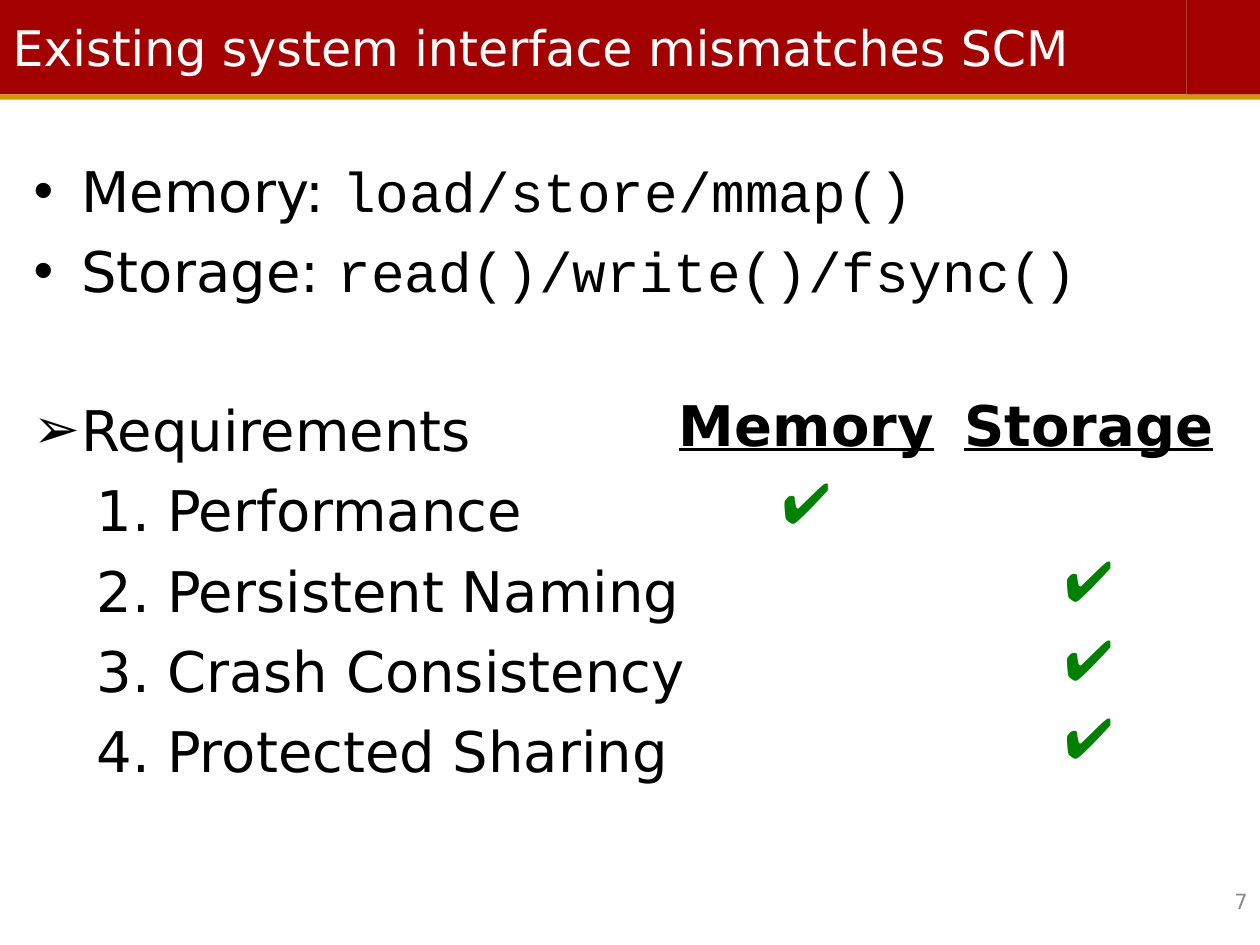
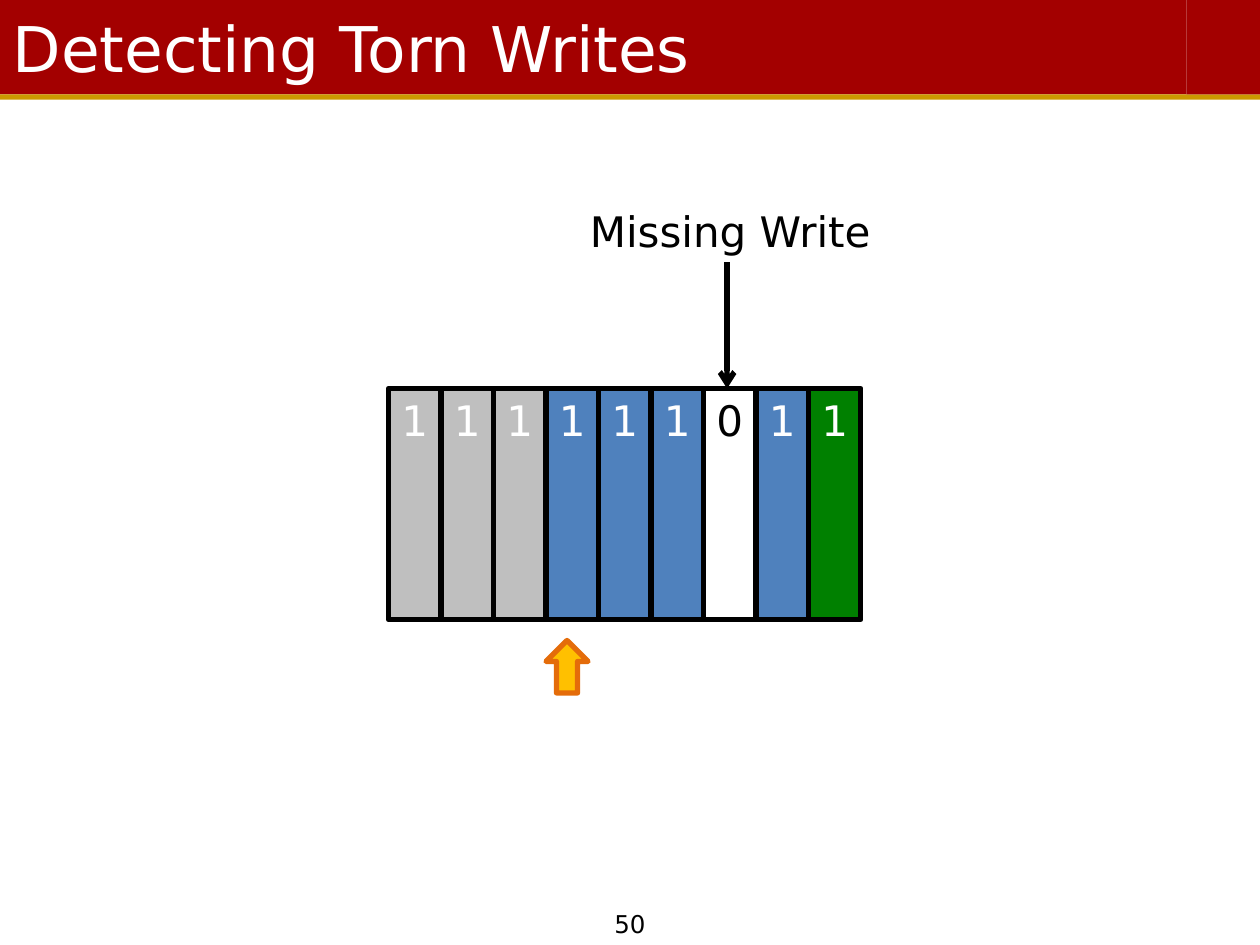
import pptx
import pptx.dml.color
import pptx.enum.shapes
import pptx.enum.text
import pptx.oxml
import pptx.oxml.ns
import pptx.util

MSO_SHAPE = pptx.enum.shapes.MSO_SHAPE
ALIGN = pptx.enum.text.PP_ALIGN
ANCHOR = pptx.enum.text.MSO_ANCHOR

COLORS = {
    "band": "A30000", "rule": "CC9900", "ink": "000000", "paper": "FFFFFF",
    "page": "8C8C8C", "old": "BFBFBF", "written": "4F81BD", "green": "008000",
    "pointer": "FFC000", "pointer_edge": "E46C0A",
}
SANS, MONO, SYMBOL = "DejaVu Sans", "Courier New", "Arial"
COLUMNS, ROWS = 120, 90
TITLE_COLUMNS, BAND_ROWS = 113, 9
NO_GRID_STYLE = "{2D5ABB26-0587-4C30-8999-92F81FD0307C}"


def grid(*cells):
    """Turn grid cells (a twelfth of an inch each) into lengths."""
    return [pptx.util.Inches(cell / 12) for cell in cells]


def color(name):
    return pptx.dml.color.RGBColor.from_string(COLORS[name])


def add_run(paragraph, text, size, ink="ink", font=SANS, heading=False):
    run = paragraph.add_run()
    run.text = text
    run.font.name = font
    run.font.size = pptx.util.Pt(size)
    run.font.color.rgb = color(ink)
    run.font.bold = run.font.underline = heading


def add_xml(parent, tag, **attributes):
    element = pptx.oxml.parse_xml(f"<a:{tag} {pptx.oxml.ns.nsdecls('a')}/>")
    for key, value in attributes.items():
        element.set(key, str(value))
    parent.append(element)


def add_block(slide, place, fill, edge=None, kind=MSO_SHAPE.RECTANGLE):
    block = slide.shapes.add_shape(kind, *grid(*place))
    block.shadow.inherit = False
    block.fill.solid()
    block.fill.fore_color.rgb = color(fill)
    if edge:
        block.line.color.rgb = color(edge)
        block.line.width = pptx.util.Pt(3)
    else:
        block.line.fill.background()
    return block


def add_label(slide, place, text, size, ink="ink", align=ALIGN.LEFT, anchor=ANCHOR.TOP):
    frame = slide.shapes.add_textbox(*grid(*place)).text_frame
    frame.word_wrap = True
    frame.vertical_anchor = anchor
    frame.paragraphs[0].alignment = align
    add_run(frame.paragraphs[0], text, size, ink)


def place_placeholder(placeholder, place, anchor):
    placeholder.left, placeholder.top, placeholder.width, placeholder.height = grid(*place)
    frame = placeholder.text_frame
    frame.auto_size = pptx.enum.text.MSO_AUTO_SIZE.NONE
    frame.word_wrap = True
    frame.vertical_anchor = anchor
    return frame


def add_titled_slide(deck, layout, heading, size):
    slide = deck.slides.add_slide(deck.slide_layouts.get_by_name(layout))
    add_block(slide, (0, BAND_ROWS, COLUMNS, 0.5), "rule")
    add_block(slide, (TITLE_COLUMNS, 0, COLUMNS - TITLE_COLUMNS, BAND_ROWS), "band")
    title = slide.shapes.title
    title.fill.solid()
    title.fill.fore_color.rgb = color("band")
    frame = place_placeholder(title, (0, 0, TITLE_COLUMNS, BAND_ROWS), ANCHOR.MIDDLE)
    frame.paragraphs[0].alignment = ALIGN.LEFT
    add_run(frame.paragraphs[0], heading, size, "paper")
    return slide


def add_list_item(frame, runs, mark=None, gap=7.5):
    """Add a bulleted item, or a numbered one on the second level without a mark."""
    first = not frame.paragraphs[0].runs
    item = frame.paragraphs[0] if first else frame.add_paragraph()
    indent, hang = (0.38, 0.38) if mark else (1.06, 0.56)
    properties = item._p.get_or_add_pPr()
    properties.set("marL", str(pptx.util.Inches(indent)))
    properties.set("indent", str(-pptx.util.Inches(hang)))
    if mark:
        add_xml(properties, "buFont", typeface=SYMBOL)
        add_xml(properties, "buChar", char=mark)
    else:
        add_xml(properties, "buFont", typeface=SANS)
        add_xml(properties, "buAutoNum", type="arabicPeriod")
        item.level = 1
    item.space_before = pptx.util.Pt(0 if first else gap)
    for text, font in runs:
        add_run(item, text, 32, font=font)


def add_support_table(slide, interfaces, support):
    """Tick, row by row, the interface that meets each requirement."""
    widths, row_height = (27.4, 26.4), 7.45
    row_count = len(support) + 1
    table = slide.shapes.add_table(
        row_count, len(interfaces),
        *grid(63.1, 37, sum(widths), row_count * row_height)).table
    table.first_row = table.horz_banding = False
    table._tbl.tblPr.find(pptx.oxml.ns.qn("a:tableStyleId")).text = NO_GRID_STYLE
    for column, width in zip(table.columns, grid(*widths)):
        column.width = width
    for row in table.rows:
        row.height = grid(row_height)[0]
    for cell in table.iter_cells():
        cell.fill.background()
        cell.margin_left = cell.margin_right = pptx.util.Inches(0.05)
        cell.text_frame.paragraphs[0].alignment = ALIGN.CENTER
    for index, interface in enumerate(interfaces):
        add_run(table.cell(0, index).text_frame.paragraphs[0], interface, 32, heading=True)
    for row, interface in enumerate(support, start=1):
        ticked = table.cell(row, interfaces.index(interface))
        add_run(ticked.text_frame.paragraphs[0], "✔", 32, "green", SYMBOL)


def add_arrow(slide, column, top, bottom):
    arrow = slide.shapes.add_connector(
        pptx.enum.shapes.MSO_CONNECTOR.STRAIGHT, *grid(column, top, column, bottom))
    arrow.line.color.rgb = color("ink")
    arrow.line.width = pptx.util.Pt(3)
    add_xml(arrow.line._get_or_add_ln(), "tailEnd", type="arrow")
    add_xml(arrow._element.spPr, "effectLst")


def add_log(slide, words, left, top, width, height):
    for index, (bit, fill) in enumerate(words):
        word = add_block(slide, (left + index * width, top, width, height), fill, "ink")
        frame = word.text_frame
        frame.vertical_anchor = ANCHOR.TOP
        frame.paragraphs[0].alignment = ALIGN.CENTER
        add_run(frame.paragraphs[0], bit, 24, "ink" if fill == "paper" else "paper")


def build_interface_slide(deck):
    slide = add_titled_slide(deck, "Title and Content",
                             "Existing system interface mismatches SCM", 28)
    body = place_placeholder(slide.placeholders[1], (2, 14.3, 115, 71), ANCHOR.TOP)
    add_list_item(body, [("Memory: ", SANS), ("load/store/mmap()", MONO)], "•")
    add_list_item(body, [("Storage: ", SANS), ("read()/write()/fsync()", MONO)], "•")
    add_list_item(body, [("Requirements", SANS)], "➢", gap=52.2)
    for requirement in ("Performance", "Persistent Naming",
                        "Crash Consistency", "Protected Sharing"):
        add_list_item(body, [(requirement, SANS)])
    add_support_table(slide, ("Memory", "Storage"),
                      ("Memory", "Storage", "Storage", "Storage"))
    add_label(slide, (92, 83.4, 28, 4.8), "7", 12, "page", ALIGN.RIGHT, ANCHOR.MIDDLE)


def build_torn_write_slide(deck):
    slide = add_titled_slide(deck, "Title Only", "Detecting Torn Writes", 36)
    log_top, log_left, word_width = 37, 37, 5
    words = ([("1", "old")] * 3 + [("1", "written")] * 3
             + [("0", "paper"), ("1", "written"), ("1", "green")])
    add_log(slide, words, log_left, log_top, word_width, 22)
    add_arrow(slide, 69.25, 25, log_top)
    add_label(slide, (55, 19, 30, 6), "Missing Write", 24)
    add_block(slide, (log_left + 3 * word_width, 61, 4, 5),
              "pointer", "pointer_edge", MSO_SHAPE.UP_ARROW)
    add_label(slide, (41, 86, 38, 4), "50", 14, align=ALIGN.CENTER)


def main():
    deck = pptx.Presentation()
    deck.slide_width, deck.slide_height = grid(COLUMNS, ROWS)
    build_interface_slide(deck)
    build_torn_write_slide(deck)
    deck.save("out.pptx")


if __name__ == "__main__":
    main()
